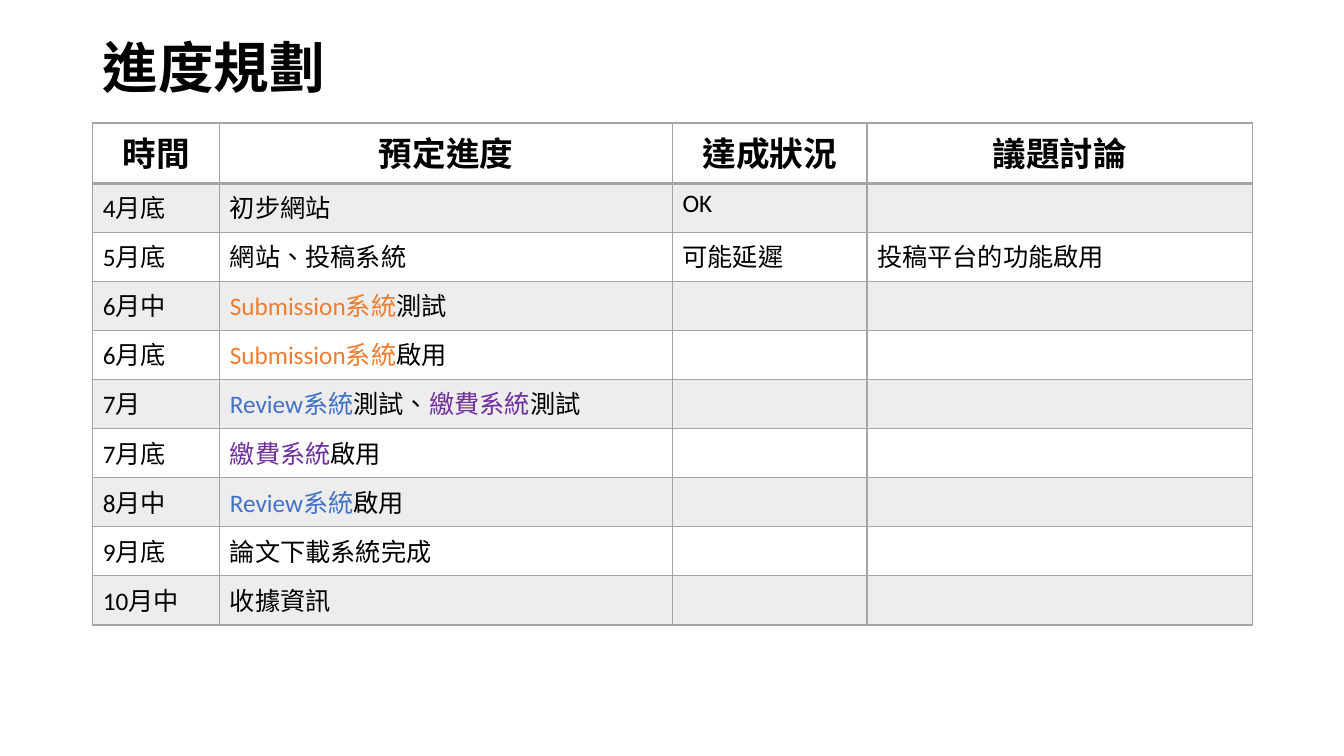
from lxml import etree
from pptx import Presentation
from pptx.dml.color import RGBColor as RGB
from pptx.enum.lang import MSO_LANGUAGE_ID as Lang
from pptx.enum.text import MSO_ANCHOR as Anchor, MSO_AUTO_SIZE as Fit, PP_ALIGN as Align
from pptx.oxml.ns import qn
from pptx.util import Inches, Pt

BLACK = RGB(0x00, 0x00, 0x00)
WHITE = RGB(0xFF, 0xFF, 0xFF)
BAND = RGB(0xED, 0xED, 0xED)
GRAY = RGB(0xA5, 0xA5, 0xA5)
ORANGE = RGB(0xED, 0x7D, 0x31)
BLUE = RGB(0x44, 0x72, 0xC4)
PURPLE = RGB(0x70, 0x30, 0xA0)
CJK = "Noto Sans CJK SC"

TITLE = {"size": Pt(39.6), "bold": True, "name": CJK}
HEAD = {"size": Pt(24), "bold": True, "name": "Calibri"}
BODY = {"size": Pt(18), "bold": False, "name": "Calibri"}

SUBMIT = ("Submission系統", ORANGE)
REVIEW = ("Review系統", BLUE)
PAY = ("繳費系統", PURPLE)

# A cell is a list of parts; a part is plain text or a (text, colour) pair.
ROWS = [
    [["時間"], ["預定進度"], ["達成狀況"], ["議題討論"]],
    [["4月底"], ["初步網站"], ["OK"], []],
    [["5月底"], ["網站、投稿系統"], ["可能延遲"], ["投稿平台的功能啟用"]],
    [["6月中"], [SUBMIT, "測試"], [], []],
    [["6月底"], [SUBMIT, "啟用"], [], []],
    [["7月"], [REVIEW, "測試、", PAY, "測試"], [], []],
    [["7月底"], [PAY, "啟用"], [], []],
    [["8月中"], [REVIEW, "啟用"], [], []],
    [["9月底"], ["論文下載系統完成"], [], []],
    [["10月中"], ["收據資訊"], [], []],
]
WIDTHS = [1.26, 4.49, 1.93, 3.82]
LEFT, WIDTH = Inches(0.92), Inches(11.5)
HEAD_H, BODY_H = 0.6, 4.38


def write(para, parts, style):
    for part in parts:
        text, color = (part, BLACK) if isinstance(part, str) else part
        run = para.add_run()
        run.text = text
        for key, value in style.items():
            setattr(run.font, key, value)
        run.font.color.rgb = color
        run.font.language_id = Lang.TRADITIONAL_CHINESE
        latin = run.font._element.find(qn("a:latin"))
        east = etree.Element(qn("a:ea"), typeface=CJK)
        latin.addnext(east)


def border(cell, sides):
    """Draw gray cell edges; sides maps L, R, T and B, in that order, to points."""
    props = cell._tc.get_or_add_tcPr()
    for spot, (side, points) in enumerate(sides.items()):
        line = etree.Element(qn(f"a:ln{side}"), w=str(Pt(points)))
        fill = etree.SubElement(line, qn("a:solidFill"))
        etree.SubElement(fill, qn("a:srgbClr"), val=str(GRAY))
        props.insert(spot, line)


deck = Presentation()
deck.slide_width, deck.slide_height = Inches(13.33), Inches(7.5)
slide = deck.slides.add_slide(deck.slide_layouts[5])

title = slide.shapes.title
title.left, title.top, title.width, title.height = LEFT, Inches(0.4), WIDTH, Inches(0.6)
frame = title.text_frame
frame.auto_size = Fit.NONE
frame.word_wrap = True
frame.vertical_anchor = Anchor.MIDDLE
para = frame.paragraphs[0]
para.alignment = Align.LEFT
para.line_spacing = 0.9
write(para, ["進度規劃"], TITLE)

table = slide.shapes.add_table(
    len(ROWS), len(WIDTHS), LEFT, Inches(1.22), WIDTH, Inches(HEAD_H + BODY_H)
).table
table.first_row = table.horz_banding = False
for column, width in zip(table.columns, WIDTHS):
    column.width = Inches(width)

for r, row in enumerate(ROWS):
    top = r == 0
    table.rows[r].height = Inches(HEAD_H if top else BODY_H / (len(ROWS) - 1))
    for c, parts in enumerate(row):
        cell = table.cell(r, c)
        cell.fill.solid()
        cell.fill.fore_color.rgb = BAND if r % 2 else WHITE
        border(cell, {"L": 1, "R": 1, "T": 2 if r == 1 else 1, "B": 2 if top else 1})
        para = cell.text_frame.paragraphs[0]
        para.alignment = Align.CENTER if top else Align.LEFT
        write(para, parts, HEAD if top else BODY)

deck.save("out.pptx")
